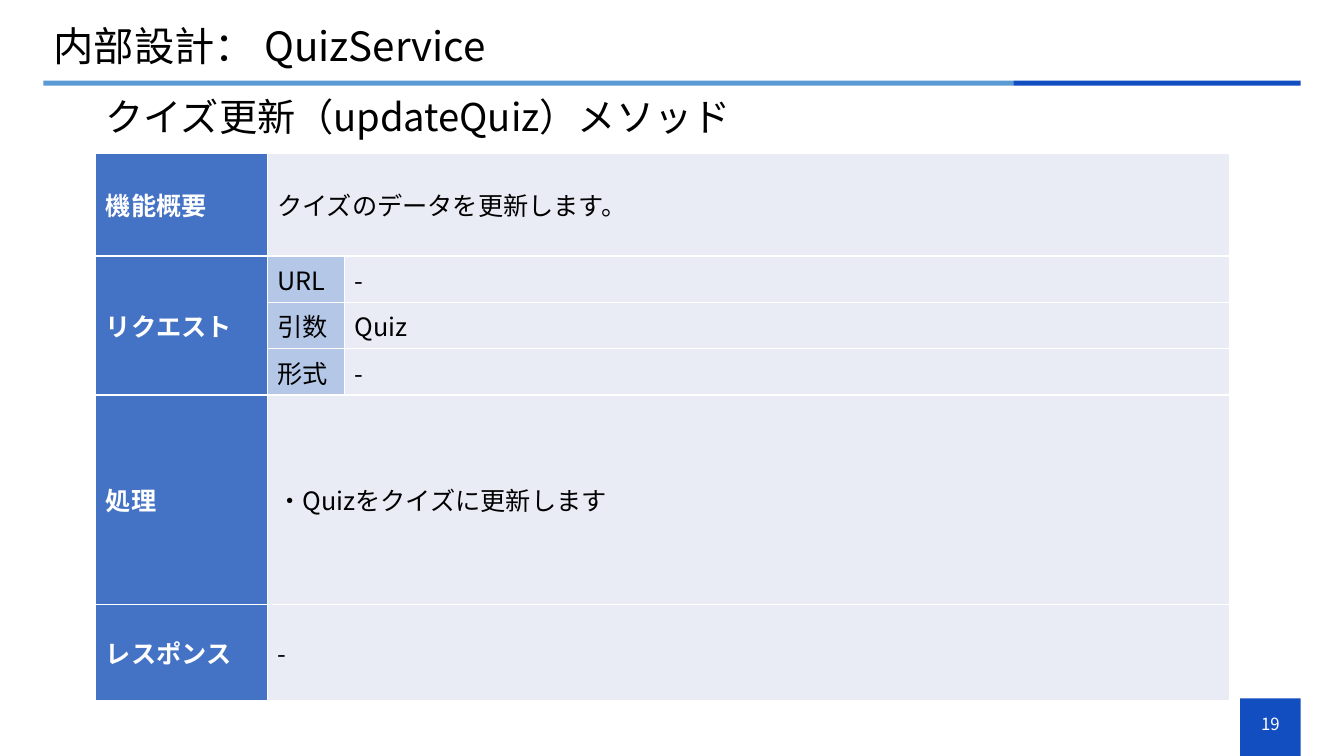
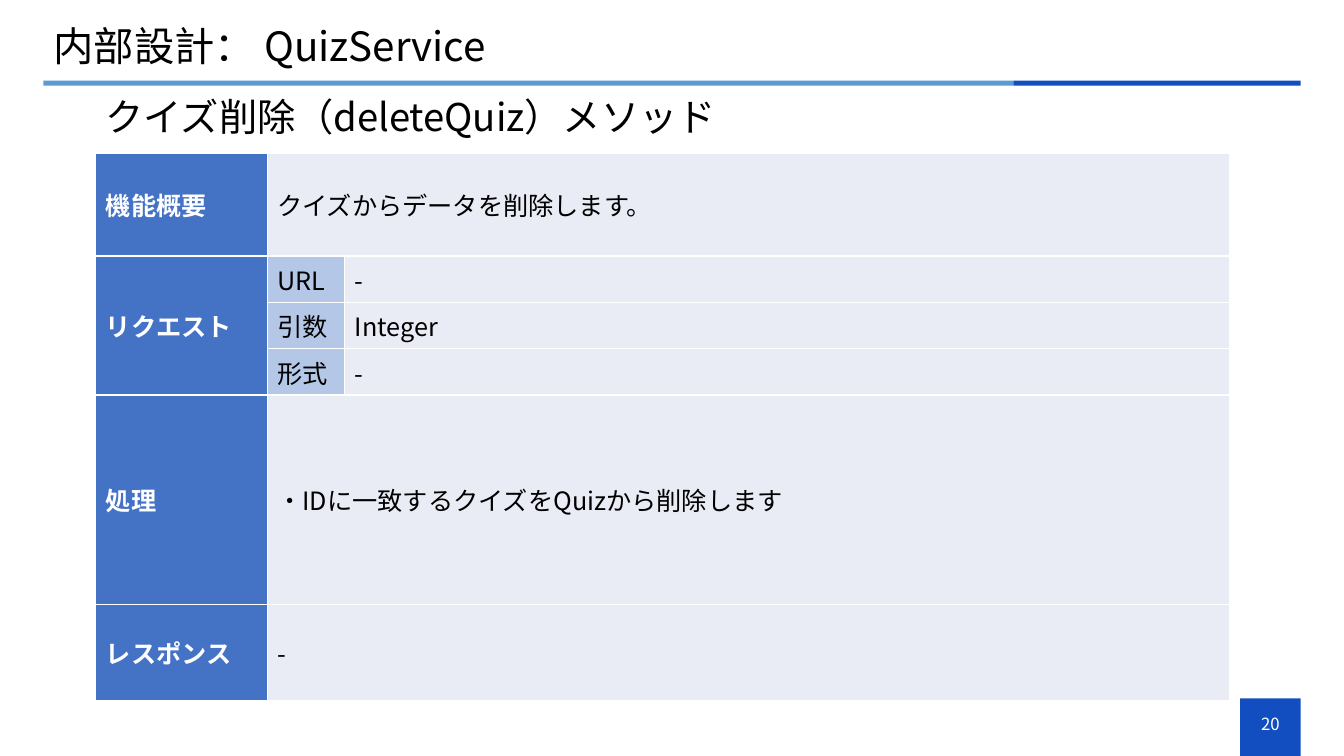
"""Build two method design slides for QuizService."""
from lxml import etree
from pptx import Presentation
from pptx.dml.color import RGBColor
from pptx.enum.shapes import MSO_SHAPE
from pptx.enum.text import MSO_ANCHOR, MSO_AUTO_SIZE, PP_ALIGN
from pptx.oxml.ns import qn
from pptx.util import Inches, Pt

RECT = MSO_SHAPE.RECTANGLE
MIDDLE = MSO_ANCHOR.MIDDLE
LEFT, CENTER = PP_ALIGN.LEFT, PP_ALIGN.CENTER
NO_FIT = MSO_AUTO_SIZE.NONE

FONT = "Noto Sans CJK JP"
NAVY, SKY, HEAD, SUBHEAD, BODY = "134EC1", "5B9BD5", "4472C4", "B4C7E7", "E9EBF5"
WHITE, BLACK = "FFFFFF", "000000"

WIDTH, HEIGHT = 13.33, 7.5
MARGIN, INDENT = 0.43, 0.95
RIGHT = WIDTH - MARGIN
RULE_TOP, RULE_SPLIT, RULE_H = 0.8, 10.05, 0.05
PAGE_W, PAGE_TOP = 0.6, 6.93
TITLE_H = 0.55
COLS = [1.7, 0.77, 8.78]
ROWS = [1.02, 0.46, 0.46, 0.46, 2.08, 0.95]

BANDS = [
    (RIGHT - PAGE_W, PAGE_TOP, PAGE_W, HEIGHT - PAGE_TOP, NAVY),
    (MARGIN, RULE_TOP, RULE_SPLIT - MARGIN, RULE_H, SKY),
    (RULE_SPLIT, RULE_TOP, RIGHT - RULE_SPLIT, RULE_H, NAVY),
]
METHODS = [
    (19, "クイズ更新（updateQuiz）メソッド", "クイズのデータを更新します。",
     "Quiz", "・Quizをクイズに更新します"),
    (20, "クイズ削除（deleteQuiz）メソッド", "クイズからデータを削除します。",
     "Integer", "・IDに一致するクイズをQuizから削除します"),
]


def rgb(color):
    return RGBColor.from_string(color)


def write(tf, text, size, color=BLACK, bold=False, align=LEFT, spacing=None):
    tf.word_wrap = True
    tf.vertical_anchor = MIDDLE
    p = tf.paragraphs[0]
    p.alignment = align
    p.line_spacing = spacing
    r = p.add_run()
    r.text = text
    r.font.size = Pt(size)
    r.font.bold = bold
    r.font.color.rgb = rgb(color)
    r.font.name = FONT
    etree.SubElement(r.font._element, qn("a:ea"), typeface=FONT)


prs = Presentation()
prs.slide_width, prs.slide_height = Inches(WIDTH), Inches(HEIGHT)

for number, method, summary, argument, process in METHODS:
    s = prs.slides.add_slide(prs.slide_layouts[5])

    for x, y, w, h, color in BANDS:
        sp = s.shapes.add_shape(RECT, Inches(x), Inches(y), Inches(w), Inches(h))
        sp.shadow.inherit = False
        sp.fill.solid()
        sp.fill.fore_color.rgb = rgb(color)
        sp.line.fill.background()

    title = s.shapes.title
    title.left, title.top = Inches(MARGIN), Inches(0.21)
    title.width, title.height = Inches(RIGHT - MARGIN), Inches(TITLE_H)
    title.text_frame.auto_size = NO_FIT
    write(title.text_frame, "内部設計： QuizService", 28.8, spacing=0.9)

    sp = s.shapes.add_textbox(Inches(RIGHT - PAGE_W), Inches(6.98), Inches(PAGE_W), Inches(0.4))
    write(sp.text_frame, str(number), 12, WHITE, align=CENTER)

    sp = s.shapes.add_textbox(Inches(INDENT), Inches(0.91), Inches(RIGHT - INDENT), Inches(TITLE_H))
    write(sp.text_frame, method, 27.3, spacing=0.9)

    table = s.shapes.add_table(len(ROWS), len(COLS), Inches(INDENT), Inches(1.52),
                               Inches(sum(COLS)), Inches(sum(ROWS))).table
    for column, width in zip(table.columns, COLS):
        column.width = Inches(width)
    for row, height in zip(table.rows, ROWS):
        row.height = Inches(height)
    for row in (0, 4, 5):
        table.cell(row, 1).merge(table.cell(row, 2))
    table.cell(1, 0).merge(table.cell(3, 0))

    texts = [
        ["機能概要", summary, ""],
        ["リクエスト", "URL", "-"],
        ["", "引数", argument],
        ["", "形式", "-"],
        ["処理", process, ""],
        ["レスポンス", "-", ""],
    ]
    for i, row in enumerate(texts):
        for j, text in enumerate(row):
            cell = table.cell(i, j)
            cell.vertical_anchor = MIDDLE
            tcPr = cell._tc.get_or_add_tcPr()
            for side in ("a:lnL", "a:lnR", "a:lnT", "a:lnB"):
                ln = etree.SubElement(tcPr, qn(side), w=str(Pt(1)))
                fill = etree.SubElement(ln, qn("a:solidFill"))
                etree.SubElement(fill, qn("a:srgbClr"), val=WHITE)
            is_subhead = j == 1 and not cell.is_merge_origin
            cell.fill.solid()
            cell.fill.fore_color.rgb = rgb(HEAD if j == 0 else SUBHEAD if is_subhead else BODY)
            if text:
                write(cell.text_frame, text, 18, WHITE if j == 0 else BLACK, bold=j == 0)

prs.save("out.pptx")
